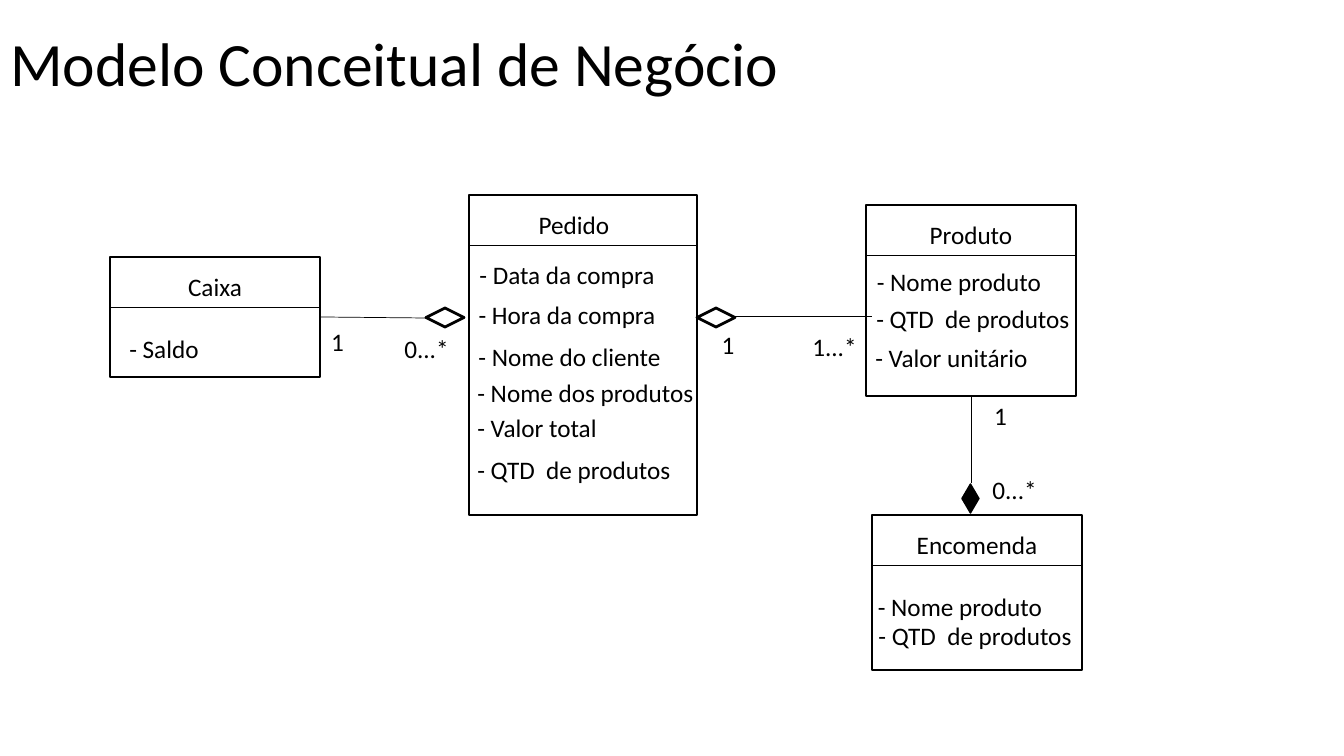
"""Builds the conceptual business model slide as a class diagram."""
import pptx
import pptx.util
import pptx.dml.color
import pptx.enum.shapes
import pptx.enum.text
import pptx.oxml.ns
import lxml.etree

TITLE = "Modelo Conceitual de Negócio"
BOXES = [
    ("Caixa", (110, 257, 210, 120), [("- Saldo", 89, 328, 150)]),
    ("Pedido", (469, 195, 228, 320), [
        ("- Data da compra", 455, 254, 224),
        ("- Hora da compra", 455, 294, 224),
        ("- Nome do cliente", 460, 336, 219),
        ("- Nome dos produtos", 466, 372, 239),
        ("- Valor total", 462, 407, 150),
        ("- QTD  de produtos", 458, 449, 232)]),
    ("Produto", (866, 205, 210, 191), [
        ("- Nome produto", 854, 261, 210),
        ("- QTD  de produtos", 857, 298, 232),
        ("- Valor unitário", 860, 337, 183)]),
    ("Encomenda", (872, 515, 210, 155), [
        ("- Nome produto", 855, 586, 210),
        ("- QTD  de produtos", 847, 615, 256)]),
]
LINKS = [(320, 317, 426, 318), (735, 316, 872, 316),
         (971, 396, 971, 483), (697, 356, 697, 319)]
GEMS = [((426, 308, 38, 19), "white", 2), ((697, 308, 38, 19), "white", 2),
        ((962, 484, 17, 29), "black", 1)]
COUNTS = [("1", 294, 321, 87), ("0...*", 383, 328, 87),
          ("1", 653, 324, 150), ("1...*", 791, 326, 87),
          ("1", 957, 395, 87), ("0...*", 971, 469, 87)]
COLORS = {"black": "000000", "white": "FFFFFF"}
FONT = "Calibri"
SCALE = 914400 / 100.8
HEAD, NAME_W, TEXT_H = 50, 150, 40

KINDS = pptx.enum.shapes.MSO_SHAPE
ALIGN = pptx.enum.text.PP_ALIGN
MIDDLE = pptx.enum.text.MSO_ANCHOR.MIDDLE


def px(*vals):
    return [pptx.util.Emu(round(val * SCALE)) for val in vals]


def tint(name):
    return pptx.dml.color.RGBColor.from_string(COLORS[name])


def write(frame, text, size, align):
    part = frame.paragraphs[0]
    part.alignment = align
    run = part.add_run()
    run.text = text
    run.font.name = FONT
    run.font.size = pptx.util.Pt(size)
    run.font.color.rgb = tint("black")
    return part


def label(text, left, top, width):
    frame = slide.shapes.add_textbox(*px(left, top, width, TEXT_H)).text_frame
    frame.word_wrap = True
    write(frame, text, 18, ALIGN.CENTER)


def block(kind, area, fill, weight):
    shape = slide.shapes.add_shape(kind, *px(*area))
    shape.shadow.inherit = False
    shape.fill.solid()
    shape.fill.fore_color.rgb = tint(fill)
    shape.line.color.rgb = tint("black")
    shape.line.width = pptx.util.Pt(weight)


def link(*ends):
    straight = pptx.enum.shapes.MSO_CONNECTOR.STRAIGHT
    line = slide.shapes.add_connector(straight, *px(*ends))
    line.line.color.rgb = tint("black")
    line.line.width = pptx.util.Pt(0.5)
    props = line._element.spPr
    lxml.etree.SubElement(props, pptx.oxml.ns.qn("a:effectLst"))


deck = pptx.Presentation()
deck.slide_width, deck.slide_height = px(1344, 756)
slide = deck.slides.add_slide(deck.slide_layouts[5])

title = slide.shapes.title
title.left, title.top, title.width, title.height = px(0, 27, 1159, 79)
title.text_frame.vertical_anchor = MIDDLE
write(title.text_frame, TITLE, 44, ALIGN.LEFT).line_spacing = 0.9

for name, area, items in BOXES:
    left, top, width, height = area
    block(KINDS.RECTANGLE, area, "white", 1)
    link(left, top + HEAD, left + width, top + HEAD)
    label(name, left + 30, top + 9, NAME_W)
    for item in items:
        label(*item)

for ends in LINKS:
    link(*ends)
for area, fill, weight in GEMS:
    block(KINDS.FLOWCHART_DECISION, area, fill, weight)
for count in COUNTS:
    label(*count)

deck.save("out.pptx")
